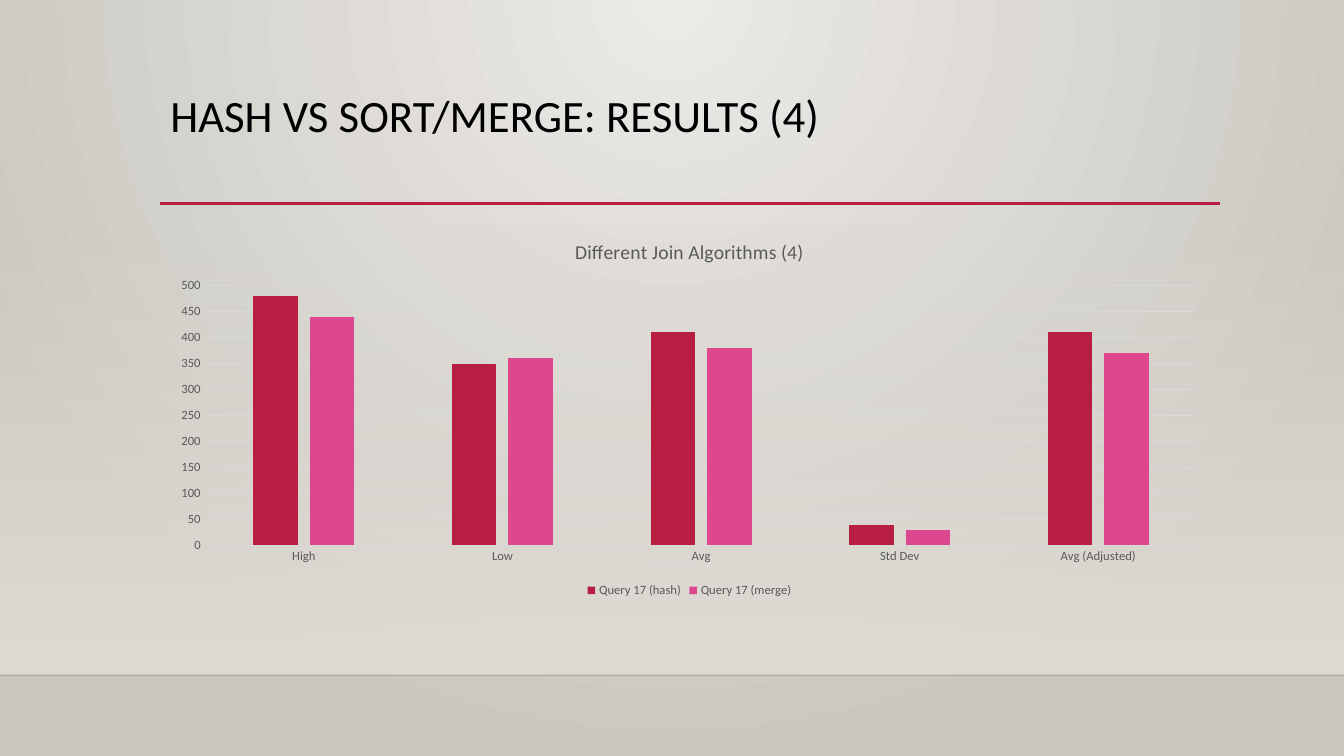
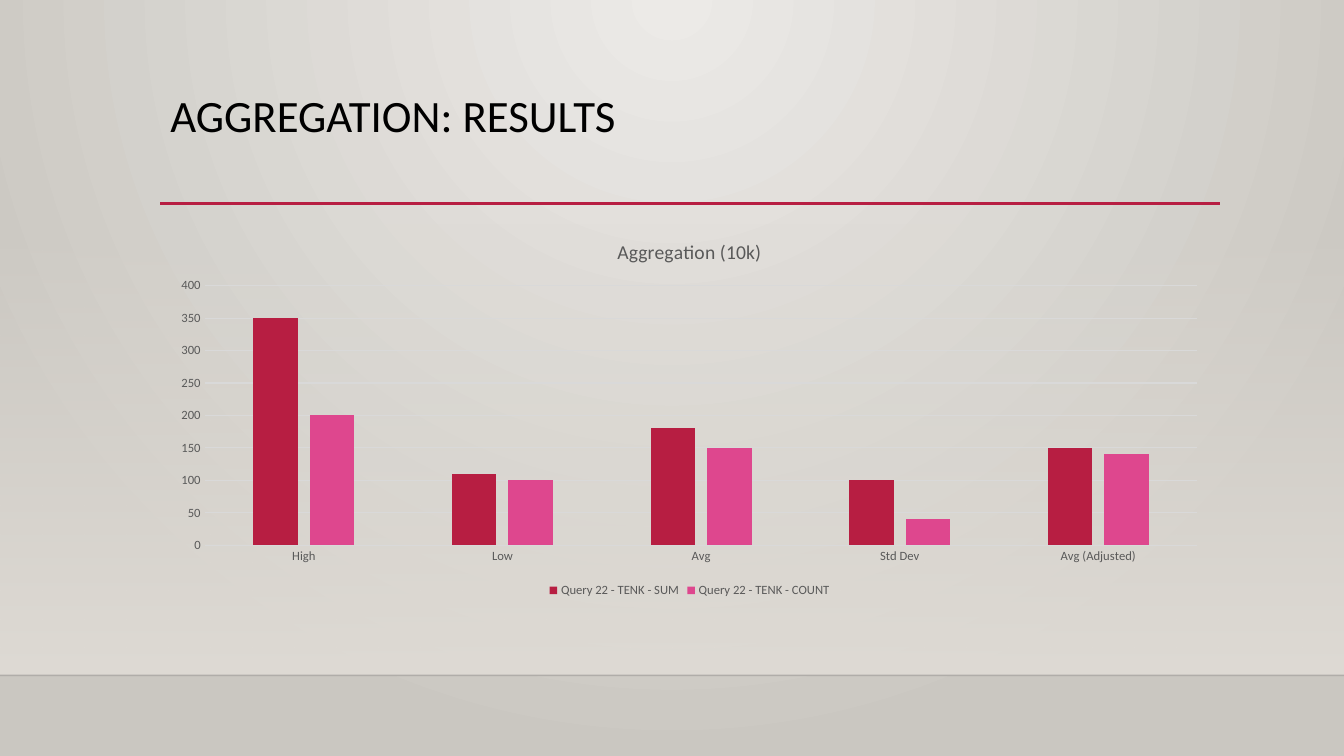
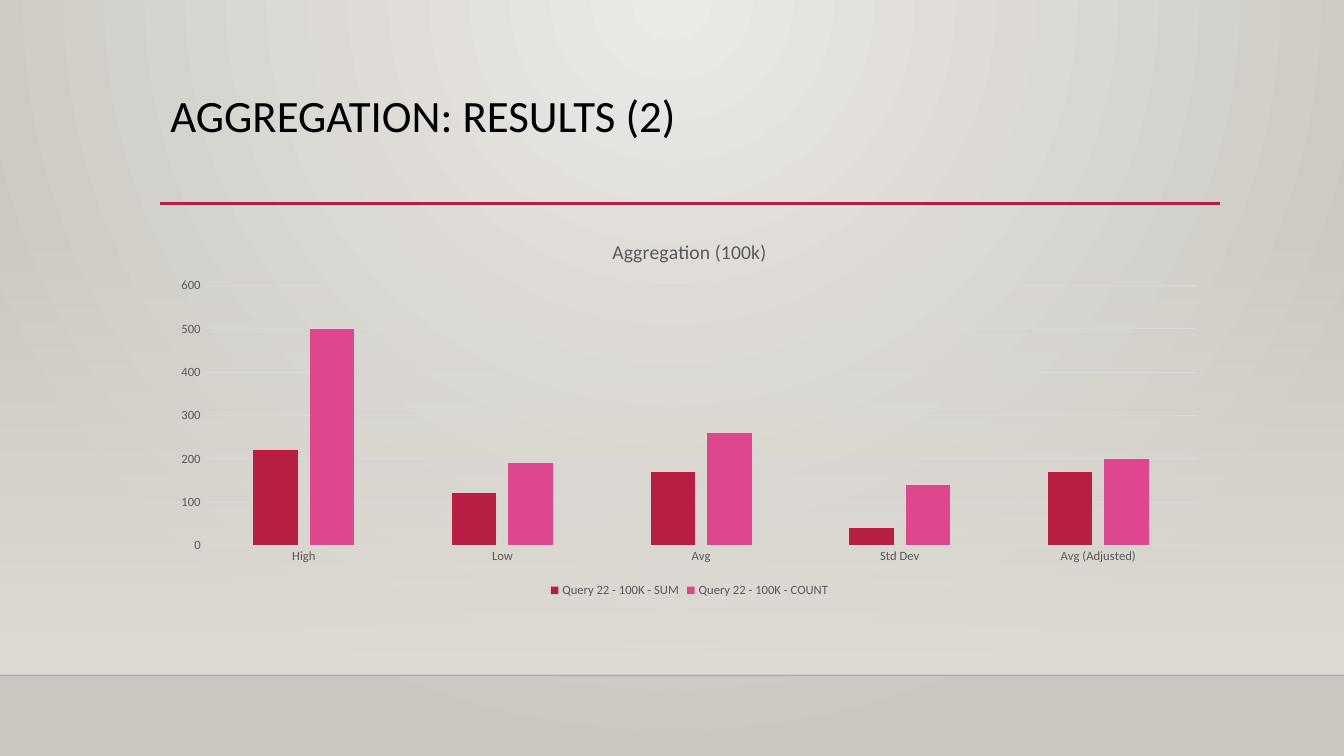
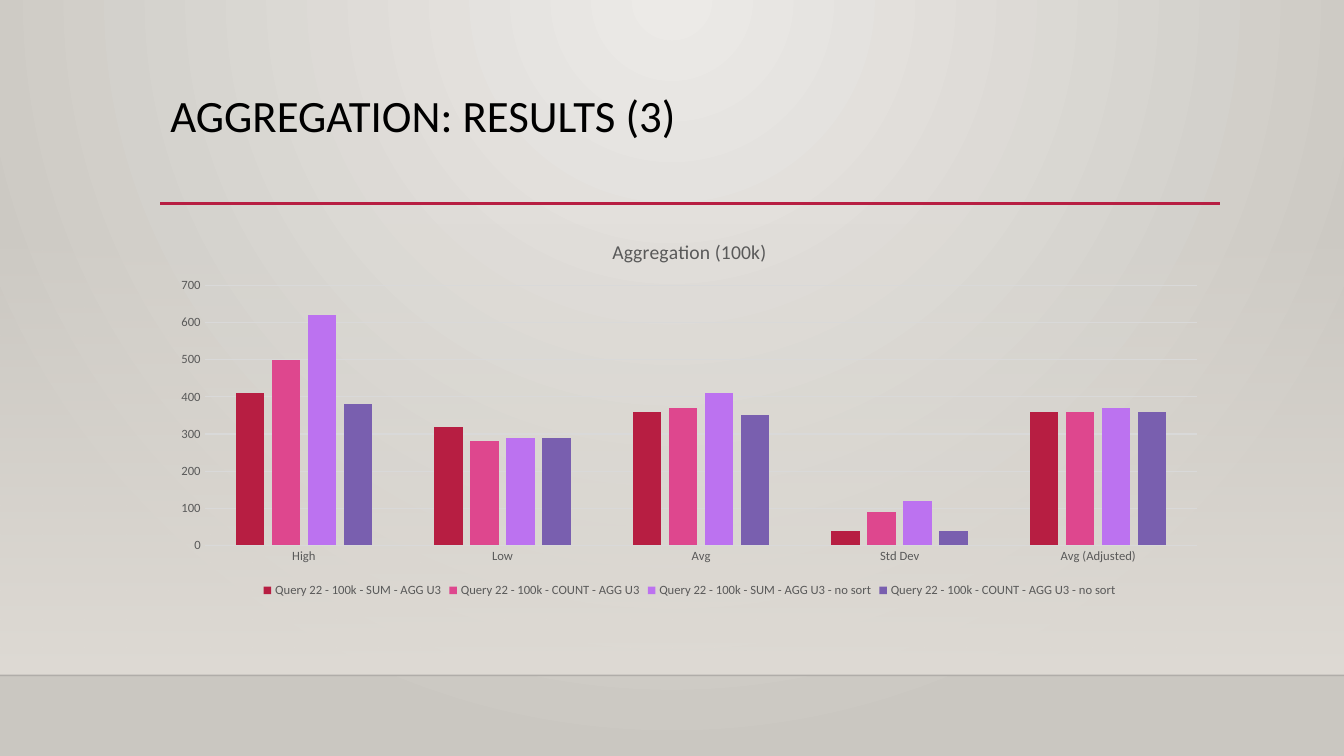
from pptx import Presentation
from pptx.chart.data import CategoryChartData
from pptx.dml.color import RGBColor
from pptx.enum.chart import XL_CHART_TYPE as ChartType
from pptx.enum.chart import XL_LEGEND_POSITION as LegendPosition
from pptx.enum.chart import XL_TICK_MARK as TickMark
from pptx.enum.shapes import MSO_CONNECTOR as Connector
from pptx.enum.shapes import MSO_SHAPE as Shape
from pptx.enum.text import MSO_ANCHOR as Anchor
from pptx.enum.text import PP_ALIGN as Align
from pptx.oxml import parse_xml
from pptx.oxml.ns import nsdecls, qn
from pptx.oxml.xmlchemy import OxmlElement
from pptx.util import Pt

FONT = "Calibri"
BLACK = RGBColor(0x00, 0x00, 0x00)
EDGE = RGBColor(0x00, 0x00, 0x01)
GREY = RGBColor(0x59, 0x59, 0x59)
GRID = RGBColor(0xD9, 0xD9, 0xD9)
PALE = RGBColor(0xEC, 0xEA, 0xE7)
STONE = RGBColor(0xCA, 0xC7, 0xC1)
SAND = RGBColor(0xDF, 0xDB, 0xD5)
CRIMSON = RGBColor(0xB7, 0x1E, 0x42)
PINK = RGBColor(0xDE, 0x47, 0x8E)
LILAC = RGBColor(0xBC, 0x72, 0xF0)
VIOLET = RGBColor(0x79, 0x5F, 0xAF)
SERIES_COLOURS = [CRIMSON, PINK, LILAC, VIOLET]

WIDTH, HEIGHT = Pt(960), Pt(540)
LEFT, CONTENT_WIDTH = Pt(114.5), Pt(756)
RULE_Y, RULE_END = Pt(145.4), Pt(871.2)
PANEL_TOP, FLOOR_Y = Pt(159.1), Pt(482.4)

CATEGORIES = ["High", "Low", "Avg", "Std Dev", "Avg (Adjusted)"]

# Each entry: slide title, chart title, axis maximum, axis step, series
RESULTS = [
    ("HASH VS SORT/MERGE: RESULTS (4)", "Different Join Algorithms (4)", 500, 50, {
        "Query 17 (hash)": [480, 350, 410, 40, 410],
        "Query 17 (merge)": [440, 360, 380, 30, 370],
    }),
    ("AGGREGATION: RESULTS", "Aggregation (10k)", 400, 50, {
        "Query 22 - TENK - SUM": [350, 110, 180, 100, 150],
        "Query 22 - TENK - COUNT": [200, 100, 150, 40, 140],
    }),
    ("AGGREGATION: RESULTS (2)", "Aggregation (100k)", 600, 100, {
        "Query 22 - 100K - SUM": [220, 120, 170, 40, 170],
        "Query 22 - 100K - COUNT": [500, 190, 260, 140, 200],
    }),
    ("AGGREGATION: RESULTS (3)", "Aggregation (100k)", 700, 100, {
        "Query 22 - 100k - SUM - AGG U3": [410, 320, 360, 40, 360],
        "Query 22 - 100k - COUNT - AGG U3": [500, 280, 370, 90, 360],
        "Query 22 - 100k - SUM - AGG U3 - no sort": [620, 290, 410, 120, 370],
        "Query 22 - 100k - COUNT - AGG U3 - no sort": [380, 290, 350, 40, 360],
    }),
]


def set_font(font, size, colour):
    """Apply the deck's typeface with a size and colour."""
    font.name = FONT
    font.size = Pt(size)
    font.bold = False
    font.color.rgb = colour


def set_gradient(fill, colours):
    """Make a two-stop gradient fill."""
    fill.gradient()
    for stop, colour in zip(fill.gradient_stops, colours):
        stop.color.rgb = colour


def set_opacity(shape, percent):
    """Set the opacity of the first explicit colour of a shape."""
    alpha = OxmlElement("a:alpha")
    alpha.set("val", str(percent * 1000))
    shape.element.find(".//" + qn("a:srgbClr")).append(alpha)


def set_background(layout):
    """Give the layout a radial gradient centred on the top edge."""
    set_gradient(layout.background.fill, [PALE, STONE])
    linear = layout.element.find(".//" + qn("a:lin"))
    radial = parse_xml(
        f'<a:path {nsdecls("a")} path="circle">'
        '<a:fillToRect l="43000" t="0" r="43000" b="100000"/></a:path>')
    linear.getparent().replace(linear, radial)


def add_panel(slide):
    """Add the band that fades in towards the floor line."""
    panel = slide.shapes.add_shape(
        Shape.RECTANGLE, 0, PANEL_TOP, WIDTH, FLOOR_Y - PANEL_TOP)
    panel.shadow.inherit = False
    panel.line.fill.background()
    set_gradient(panel.fill, [SAND, SAND])
    panel.fill.gradient_angle = 270
    set_opacity(panel, 0)
    return panel


def add_rule(slide, start, end, y, colour, weight):
    """Add a horizontal line without a shadow."""
    rule = slide.shapes.add_connector(Connector.STRAIGHT, start, y, end, y)
    rule.line.color.rgb = colour
    rule.line.width = Pt(weight)
    rule.element.spPr.append(OxmlElement("a:effectLst"))
    return rule


def style_layout(layout):
    """Set the background and the title position for every slide."""
    set_background(layout)
    title, *unused = layout.placeholders
    for placeholder in unused:
        layout.shapes.element.remove(placeholder.element)
    title.left, title.top = LEFT, Pt(63.4)
    title.width, title.height = CONTENT_WIDTH, Pt(82.8)
    title.text_frame.vertical_anchor = Anchor.TOP


def add_shared_shapes(layout, slide):
    """Draw the panel and lines on a slide, then move them to its layout."""
    panel = add_panel(slide)
    floor = add_rule(slide, 0, WIDTH, FLOOR_Y, EDGE, 1)
    set_opacity(floor, 20)
    underline = add_rule(slide, LEFT, RULE_END, RULE_Y, CRIMSON, 2.5)
    for position, shape in enumerate([panel, floor, underline], start=2):
        layout.shapes.element.insert(position, shape.element)


def fill_title(slide, text):
    """Write the slide title in its placeholder."""
    para = slide.shapes.title.text_frame.paragraphs[0]
    para.alignment = Align.LEFT
    para.line_spacing = 0.9
    span = para.add_run()
    span.text = text
    set_font(span.font, 32, BLACK)


def style_axes(chart, maximum, step):
    """Format both axes and the gridlines."""
    for axis in (chart.category_axis, chart.value_axis):
        axis.major_tick_mark = axis.minor_tick_mark = TickMark.NONE
        set_font(axis.tick_labels.font, 9, GREY)
    values = chart.value_axis
    values.minimum_scale, values.maximum_scale = 0, maximum
    values.major_unit = step
    values.format.line.fill.background()
    for line in (chart.category_axis.format.line,
                 values.major_gridlines.format.line):
        line.color.rgb = GRID
        line.width = Pt(0.75)


def add_column_chart(slide, heading, maximum, step, series):
    """Add a clustered column chart with a title and a bottom legend."""
    data = CategoryChartData()
    data.categories = CATEGORIES
    for name, values in series.items():
        data.add_series(name, values)
    chart = slide.shapes.add_chart(
        ChartType.COLUMN_CLUSTERED, LEFT, Pt(158.4),
        CONTENT_WIDTH, Pt(271.4), data).chart
    set_font(chart.font, 10, BLACK)

    span = chart.chart_title.text_frame.paragraphs[0].add_run()
    span.text = heading
    set_font(span.font, 14, GREY)
    chart.chart_title.include_in_layout = False

    chart.has_legend = True
    chart.legend.position = LegendPosition.BOTTOM
    chart.legend.include_in_layout = False
    set_font(chart.legend.font, 9, GREY)

    style_axes(chart, maximum, step)
    plot = chart.plots[0]
    plot.gap_width, plot.overlap = 219, -27
    plot.vary_by_categories = False
    for columns, colour in zip(plot.series, SERIES_COLOURS):
        columns.format.fill.solid()
        columns.format.fill.fore_color.rgb = colour


def main():
    """Build the deck and save it."""
    deck = Presentation()
    deck.slide_width, deck.slide_height = WIDTH, HEIGHT
    layout = deck.slide_layouts.get_by_name("Title Only")
    style_layout(layout)
    pages = [deck.slides.add_slide(layout) for _ in RESULTS]
    add_shared_shapes(layout, pages[0])
    for page, (title, *chart_details) in zip(pages, RESULTS):
        fill_title(page, title)
        add_column_chart(page, *chart_details)
    deck.save("out.pptx")


main()
